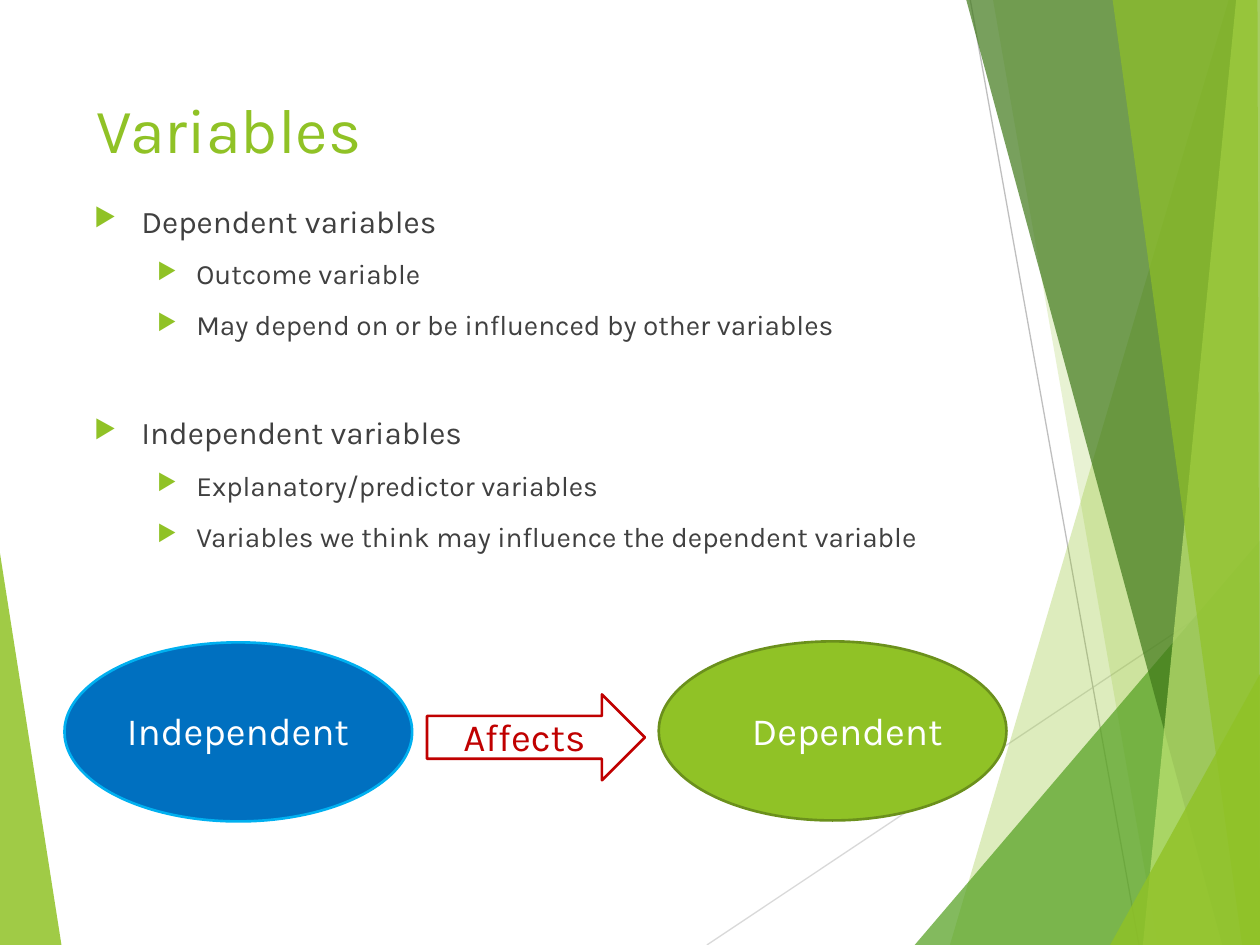
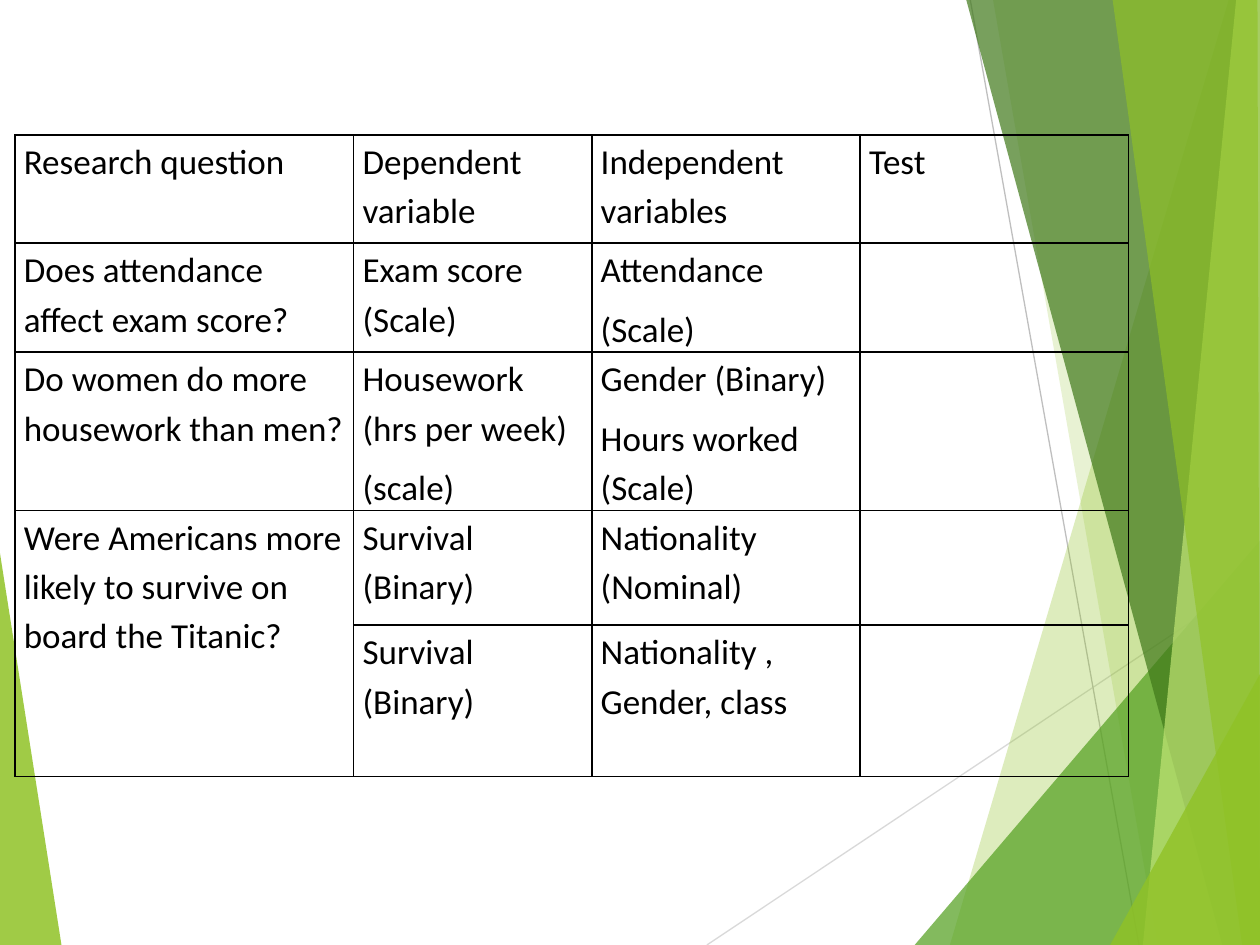
from lxml import etree
from pptx import Presentation
from pptx import util as u
from pptx.dml.color import RGBColor
from pptx.enum import shapes
from pptx.oxml import ns

LIME = RGBColor(0x90, 0xC2, 0x26)
GREEN = RGBColor(0x54, 0xA0, 0x21)
FOREST = RGBColor(0x3F, 0x78, 0x19)
PALE_LIME = RGBColor(0xC0, 0xE4, 0x74)
OLIVE = RGBColor(0x6B, 0x90, 0x1C)
BLUE = RGBColor(0x00, 0x70, 0xC0)
SKY = RGBColor(0x00, 0xB0, 0xF0)
RED = RGBColor(0xC0, 0x00, 0x00)
DARK_GREY = RGBColor(0x40, 0x40, 0x40)
MID_GREY = RGBColor(0xBF, 0xBF, 0xBF)
LIGHT_GREY = RGBColor(0xD9, 0xD9, 0xD9)
WHITE = RGBColor(0xFF, 0xFF, 0xFF)
BLACK = RGBColor(0x00, 0x00, 0x00)
W, H = 25.4, 19.05  # slide size in cm

# Shared background: thin lines (from, to, colour)
LINES = [
    ((14.25, H), (W, 11.61), LIGHT_GREY),
    ((19.56, 0), (22.96, H), MID_GREY),
]
# Shared background: facets (corners, colour, opacity in percent)
FACETS = [
    ([(0, 11.15), (1.24, H), (0, H)], LIME, 85),
    ([(24.77, 0), (19.15, H), (W, H), (W, 0)], LIME, 30),
    ([(20.02, 0), (23.34, H), (W, H), (W, 0)], LIME, 20),
    ([(18.44, H), (W, 10.9), (W, H)], GREEN, 72),
    ([(19.48, 0), (24.64, H), (W, H), (W, 0)], FOREST, 70),
    ([(24.92, 0), (23.04, H), (W, H), (W, 0)], PALE_LIME, 70),
    ([(22.43, 0), (25.04, H), (W, H), (25.35, 0)], LIME, 65),
    ([(22.38, H), (W, 13.59), (W, H)], LIME, 80),
]


def sub(parent, tag, **attrs):
    return etree.SubElement(parent, ns.qn(tag), attrs)


def add_text(s, left, top, width, height, lines, size, color):
    tf = s.shapes.add_textbox(u.Cm(left), u.Cm(top), u.Cm(width), u.Cm(height)).text_frame
    tf.word_wrap = True
    tf.text = "\n".join(lines)
    for p in tf.paragraphs:
        p.font.name, p.font.size = "Karla", u.Pt(size)
        p.font.color.rgb = color
    return tf


prs = Presentation()
prs.slide_width, prs.slide_height = u.Cm(W), u.Cm(H)

# Slides with the shared background
for _ in range(2):
    s = prs.slides.add_slide(prs.slide_layouts[6])
    for start, end, color in LINES:
        sp = s.shapes.add_connector(shapes.MSO_CONNECTOR.STRAIGHT,
                                    *[u.Cm(v) for v in start + end])
        sp.line.color.rgb, sp.line.width = color, u.Pt(0.75)
        sub(sp._element.spPr, "a:effectLst")
    for corners, color, opacity in FACETS:
        points = [(u.Cm(x), u.Cm(y)) for x, y in corners]
        builder = s.shapes.build_freeform(*points[0])
        builder.add_line_segments(points[1:])
        sp = builder.convert_to_shape()
        sp.shadow.inherit = False
        sp.fill.solid()
        sp.fill.fore_color.rgb = color
        sp.line.fill.background()
        clr = sp._element.spPr.find(".//" + ns.qn("a:srgbClr"))
        sub(clr, "a:alpha", val=str(opacity * 1000))
variables_slide, tests_slide = prs.slides

# Slide 1: title
s = variables_slide
add_text(s, 1.7, 1.7, 17.63, 3.66, ["Variables"], 36, LIME)

# Slide 1: bullets (level, text, space before)
BULLETS = [
    (0, "Dependent variables", 0),
    (1, "Outcome variable", 10),
    (1, "May depend on or be influenced by other variables", 10),
    (0, "Independent variables", 41),
    (1, "Explanatory/predictor variables", 10),
    (1, "Variables we think may influence the dependent variable", 10),
]
LEVELS = [(18, 0.95, 0.95), (16, 2.06, 0.79)]  # size, margin, hanging indent
tf = add_text(s, 1.65, 3.94, 17.63, 8.61, [b[1] for b in BULLETS], 18, DARK_GREY)
for p, (level, _, before) in zip(tf.paragraphs, BULLETS):
    size, margin, hanging = LEVELS[level]
    p.level = level
    p.space_before = u.Pt(before)
    p.font.size = u.Pt(size)
    pPr = p._p.get_or_add_pPr()
    pPr.set("marL", str(u.Cm(margin)))
    pPr.set("indent", str(-u.Cm(hanging)))
    bullet = [etree.Element(ns.qn(tag)) for tag in ("a:buClr", "a:buSzPct", "a:buChar")]
    sub(bullet[0], "a:srgbClr", val=str(LIME))
    bullet[1].set("val", "80000")
    bullet[2].set("char", "▶")
    for i, el in enumerate(bullet):
        pPr.insert(len(pPr) - 1, el)  # keeps defRPr last

# Slide 1: diagram (shape, place, fill, line)
OVAL, ARROW = shapes.MSO_SHAPE.OVAL, shapes.MSO_SHAPE.RIGHT_ARROW
for kind, place, fill, line in [
    (OVAL, (1.3, 12.95, 7.01, 3.61), BLUE, SKY),
    (OVAL, (13.28, 12.93, 7.01, 3.61), LIME, OLIVE),
    (ARROW, (8.61, 14.0, 4.39, 1.73), None, RED),
]:
    sp = s.shapes.add_shape(kind, *[u.Cm(v) for v in place])
    sp.shadow.inherit = False
    if fill is None:
        sp.fill.background()
    else:
        sp.fill.solid()
        sp.fill.fore_color.rgb = fill
    sp.line.color.rgb, sp.line.width = line, u.Pt(1.5)
for label, left, top, color in [
    ("Independent", 2.31, 14.12, WHITE),
    ("Dependent", 14.91, 14.12, WHITE),
    ("Affects", 9.09, 14.25, RED),
]:
    add_text(s, left, top, 5.0, 1.19, [label], 22, color)

# Slide 2: table of research questions
s = tests_slide
ROWS = [
    ["Research question", "Dependent variable", "Independent variables", "Test"],
    ["Does attendance affect exam score?", "Exam score (Scale)", "Attendance\n(Scale)", ""],
    ["Do women do more housework than men?", "Housework (hrs per week)\n(scale)",
     "Gender (Binary)\nHours worked (Scale)", ""],
    ["Were Americans more likely to survive on board the Titanic?", "Survival (Binary)",
     "Nationality (Nominal)", ""],
    ["", "Survival (Binary)", "Nationality , Gender, class", ""],
]
COL_WIDTHS = [6.83, 4.8, 5.41, 5.41]
ROW_HEIGHTS = [2.18, 2.03, 3.05, 2.31, 3.05]
table = s.shapes.add_table(len(ROWS), len(COL_WIDTHS), u.Cm(0.3), u.Cm(2.72),
                           u.Cm(sum(COL_WIDTHS)), u.Cm(sum(ROW_HEIGHTS))).table
table.horz_banding = False
for col, width in zip(table.columns, COL_WIDTHS):
    col.width = u.Cm(width)
for row, height in zip(table.rows, ROW_HEIGHTS):
    row.height = u.Cm(height)
for row, texts in zip(table.rows, ROWS):
    for cell, content in zip(row.cells, texts):
        cell.margin_left = cell.margin_right = u.Cm(0.18)
        cell.margin_top = cell.margin_bottom = 0
        tcPr = cell._tc.get_or_add_tcPr()
        for side in ("a:lnL", "a:lnR", "a:lnT", "a:lnB"):
            ln = sub(tcPr, side, w=str(u.Pt(1)))
            sub(sub(ln, "a:solidFill"), "a:srgbClr", val=str(BLACK))
        cell.fill.background()
        cell.text = content
        for p in cell.text_frame.paragraphs:
            p.line_spacing, p.space_after = 1.15, u.Pt(6)
            p.font.name, p.font.size, p.font.bold = "Calibri", u.Pt(20), False
            p.font.color.rgb = BLACK
table.cell(3, 0).merge(table.cell(4, 0))

prs.save("out.pptx")
